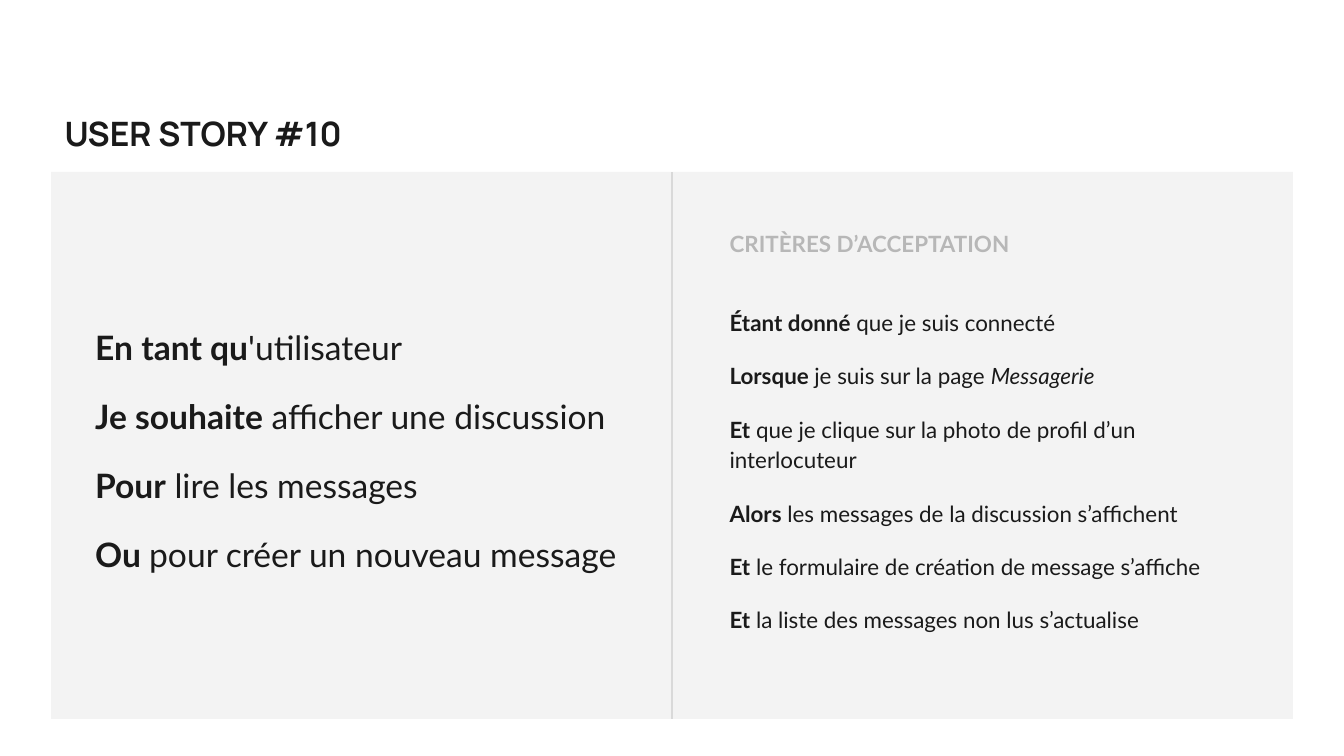
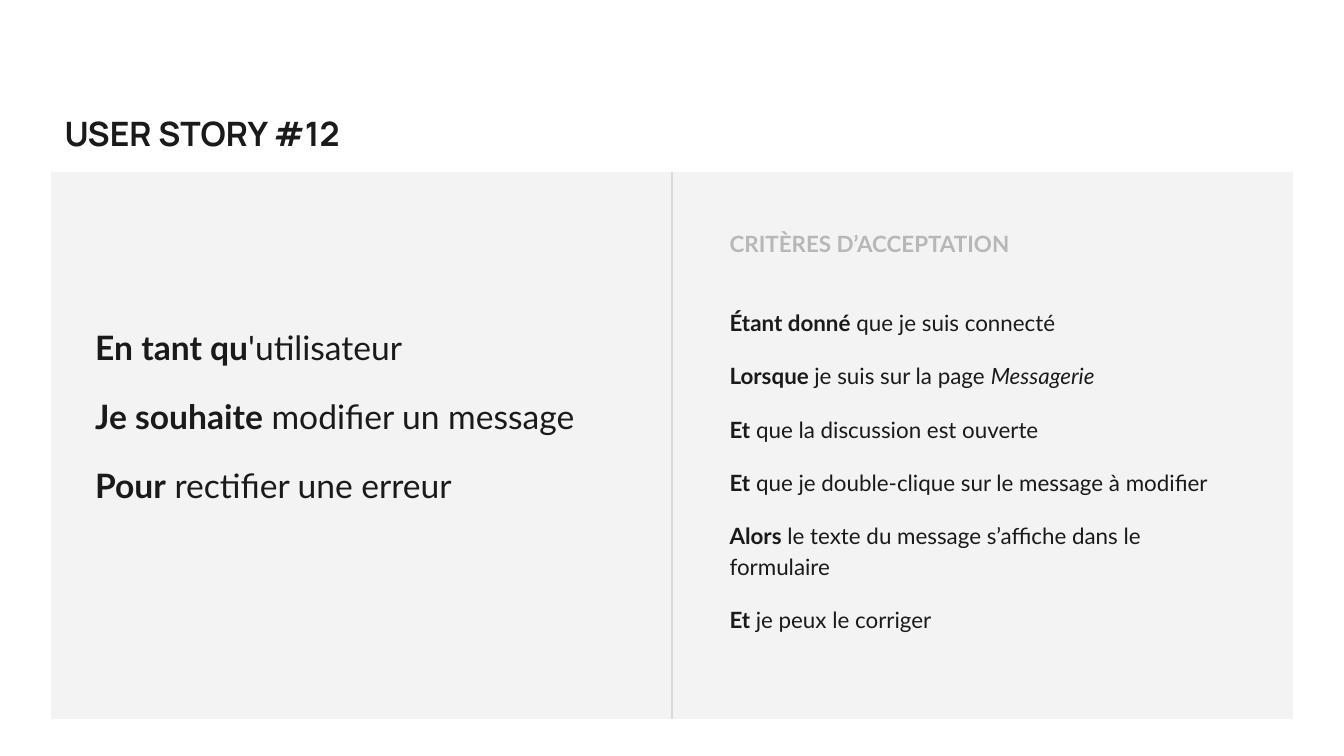
from lxml import etree
from pptx import Presentation
from pptx.dml.color import RGBColor
from pptx.enum.shapes import MSO_CONNECTOR, MSO_SHAPE
from pptx.enum.text import MSO_ANCHOR, MSO_AUTO_SIZE, PP_ALIGN
from pptx.oxml.ns import qn
from pptx.util import Inches, Pt

RECTANGLE = MSO_SHAPE.RECTANGLE
STRAIGHT = MSO_CONNECTOR.STRAIGHT
TOP = MSO_ANCHOR.TOP
LEFT = PP_ALIGN.LEFT
FIXED = MSO_AUTO_SIZE.NONE
GROW = MSO_AUTO_SIZE.SHAPE_TO_FIT_TEXT

INK = "1A1A1A"
PANEL = "F3F3F3"
DIVIDER = "D9D9D9"
MUTED = "B7B7B7"
TITLE_FONT = "Manrope"
BODY_FONT = "Lato"
CRITERIA_LEFT = 5.33

STORIES = [
    {
        "title": "USER STORY #10",
        "story": [
            ("En tant qu", "'utilisateur"),
            ("Je souhaite", " afficher une discussion"),
            ("Pour", " lire les messages"),
            ("Ou ", "pour créer un nouveau message"),
        ],
        "criteria": [
            ("Étant donné", " que je suis connecté"),
            ("Lorsque ", "je suis sur la page ", "Messagerie"),
            ("Et", " que je clique sur la photo de profil d’un interlocuteur"),
            ("Alors", " les messages de la discussion s’affichent"),
            ("Et", " le formulaire de création de message s’affiche"),
            ("Et", " la liste des messages non lus s’actualise"),
        ],
    },
    {
        "title": "USER STORY #12",
        "story": [
            ("En tant qu", "'utilisateur"),
            ("Je souhaite", " modifier un message"),
            ("Pour", " rectifier une erreur"),
        ],
        "criteria": [
            ("Étant donné", " que je suis connecté"),
            ("Lorsque ", "je suis sur la page ", "Messagerie"),
            ("Et", " que la discussion est ouverte"),
            ("Et", " que je double-clique sur le message à modifier"),
            ("Alors", " le texte du message s’affiche dans le formulaire"),
            ("Et ", "je peux le corriger"),
        ],
    },
]


def color(value):
    return RGBColor.from_string(value)


def write_lines(shape, lines, size, font=BODY_FONT, ink=INK, spacing=1.0, fit=FIXED):
    frame = shape.text_frame
    frame.word_wrap = True
    frame.auto_size = fit
    frame.vertical_anchor = TOP
    frame.margin_left = frame.margin_right = Inches(0.1)
    frame.margin_top = frame.margin_bottom = Inches(0.1)
    for number, parts in enumerate(lines):
        paragraph = frame.add_paragraph() if number else frame.paragraphs[0]
        paragraph.alignment = LEFT
        paragraph.line_spacing = spacing
        paragraph.space_before = Pt(12 if number else 0)
        for position, part in enumerate(parts):
            run = paragraph.add_run()
            run.text = part
            run.font.name = font
            run.font.size = Pt(size)
            run.font.color.rgb = color(ink)
            run.font.bold = position == 0
            run.font.italic = position == 2


prs = Presentation()
prs.slide_width = Inches(10)
prs.slide_height = Inches(10 * 9 / 16)
title_only = prs.slide_layouts[5]

for content in STORIES:
    slide = prs.slides.add_slide(title_only)

    title = slide.shapes.title
    title.left, title.top = Inches(0.38), Inches(0.74)
    title.width, title.height = Inches(2.72), Inches(0.54)
    write_lines(title, [(content["title"],)], 18, font=TITLE_FONT)

    panel = slide.shapes.add_shape(
        RECTANGLE, Inches(0.38), Inches(1.28), Inches(9.24), Inches(4.07))
    panel.shadow.inherit = False
    panel.fill.solid()
    panel.fill.fore_color.rgb = color(PANEL)
    panel.line.fill.background()

    story = slide.shapes.add_textbox(
        Inches(0.61), Inches(2.29), Inches(4.19), Inches(2.05))
    write_lines(story, content["story"], 18, spacing=1.15)

    criteria = slide.shapes.add_textbox(
        Inches(CRITERIA_LEFT), Inches(2.17), Inches(3.98), Inches(2.87))
    write_lines(criteria, content["criteria"], 12, spacing=1.15)

    divider = slide.shapes.add_connector(
        STRAIGHT, Inches(5), Inches(1.28), Inches(5), Inches(5.35))
    divider.begin_connect(panel, 0)
    divider.end_connect(panel, 2)
    divider.line.color.rgb = color(DIVIDER)
    divider.line.width = Pt(0.75)
    etree.SubElement(divider.element.spPr, qn("a:effectLst"))

    heading = slide.shapes.add_textbox(
        Inches(CRITERIA_LEFT), Inches(1.61), Inches(3.28), Inches(0.4))
    write_lines(heading, [("CRITÈRES D’ACCEPTATION",)], 12, ink=MUTED, fit=GROW)

prs.save("out.pptx")
